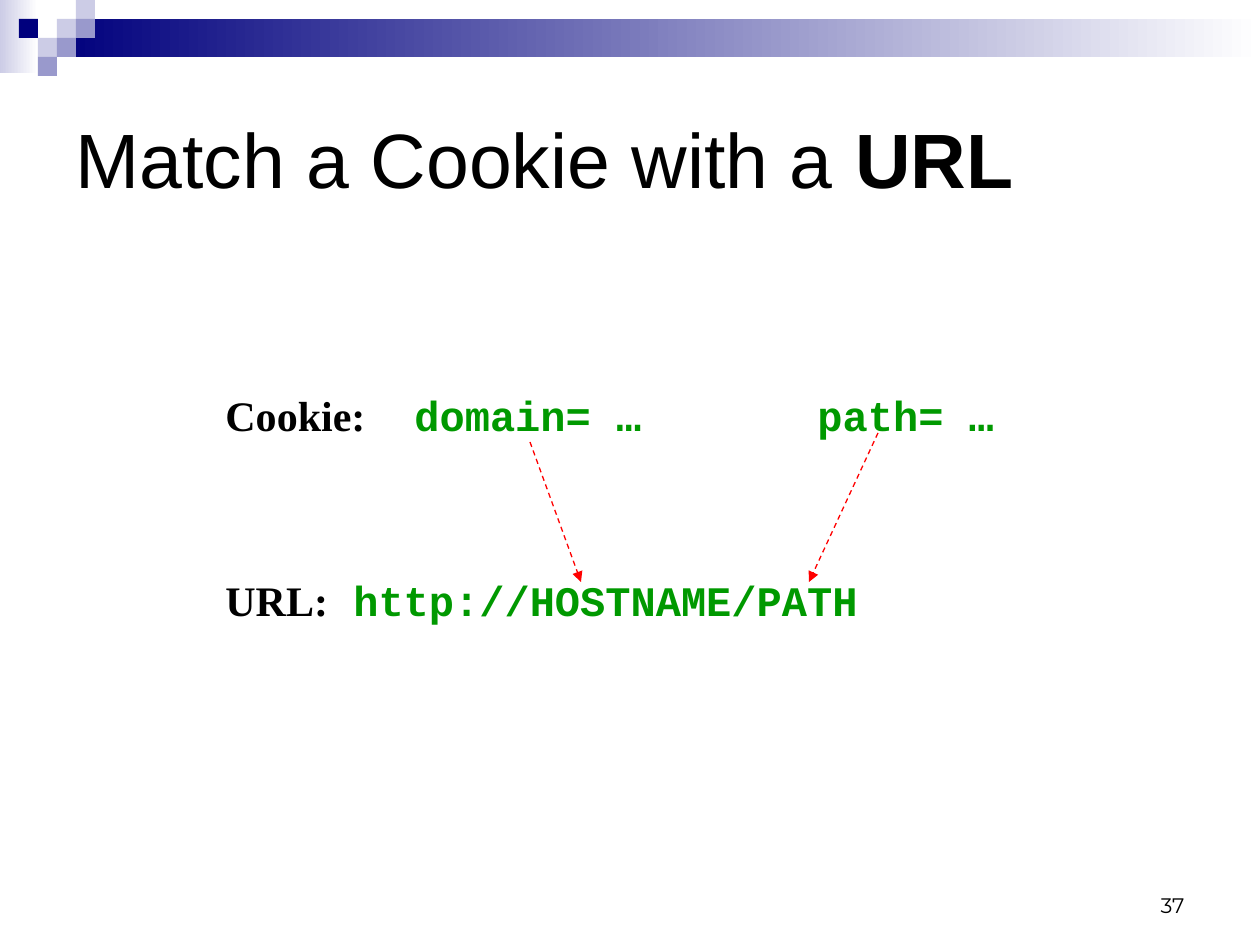
from lxml import etree
from pptx import Presentation
from pptx.dml.color import RGBColor
from pptx.enum.dml import MSO_LINE
from pptx.enum.shapes import MSO_CONNECTOR, MSO_SHAPE
from pptx.enum.text import MSO_ANCHOR, PP_ALIGN
from pptx.oxml.ns import qn
from pptx.util import Emu, Pt

RECTANGLE = MSO_SHAPE.RECTANGLE
STRAIGHT = MSO_CONNECTOR.STRAIGHT
DASH = MSO_LINE.DASH
MIDDLE, BOTTOM = MSO_ANCHOR.MIDDLE, MSO_ANCHOR.BOTTOM
LEFT, RIGHT = PP_ALIGN.LEFT, PP_ALIGN.RIGHT

COLORS = {"navy": "00007D", "pale": "CCCCE6", "lilac": "9999CC", "white": "FFFFFF",
          "black": "000000", "code": "009900", "arrow": "FF0000"}
PX_PER_INCH = 126
CELL = 19


def px(length):
    return Emu(round(length * 914400 / PX_PER_INCH))


def color(name):
    return RGBColor.from_string(COLORS[name])


def add_block(page, box, *names):
    """Draw a borderless rectangle, solid for one colour, graded for two."""
    block = page.shapes.add_shape(RECTANGLE, *map(px, box))
    block.shadow.inherit = False
    block.line.fill.background()
    if len(names) == 1:
        block.fill.solid()
        block.fill.fore_color.rgb = color(names[0])
        return
    block.fill.gradient()
    block.fill.gradient_angle = 0
    for stop, name in zip(block.fill.gradient_stops, names):
        stop.color.rgb = color(name)


def add_banner(page, box):
    left, top, width, height = box
    add_block(page, (left, top, 2 * CELL, height), "pale", "white")
    add_block(page, (left + 3 * CELL, top + CELL, width - 3 * CELL, 2 * CELL), "navy", "white")
    # Checkered squares as column, row, colour
    squares = [(3, 1, "pale"), (4, 0, "pale"), (4, 1, "lilac"), (2, 2, "pale"),
               (1, 1, "navy"), (3, 2, "lilac"), (2, 3, "lilac")]
    for column, row, name in squares:
        add_block(page, (left + column * CELL, top + row * CELL, CELL, CELL), name)


def style_font(font, family, name):
    font.name = family
    font.color.rgb = color(name)


def add_title(page, box, plain, strong):
    title = page.shapes.title
    title.left, title.top, title.width, title.height = map(px, box)
    title.text_frame.vertical_anchor = MIDDLE
    para = title.text_frame.paragraphs[0]
    para.alignment = LEFT
    para.font.size = Pt(44)
    style_font(para.font, "Arial", "black")
    para.add_run().text = plain
    span = para.add_run()
    span.text = strong
    span.font.bold = True


def add_text_box(page, box):
    frame = page.shapes.add_textbox(*map(px, box)).text_frame
    frame.word_wrap = True
    return frame


def add_code_line(page, box, label, code, tabs=()):
    """Write a label and its code; tabs are px from the text's left edge."""
    para = add_text_box(page, box).paragraphs[0]
    if tabs:
        stops = etree.SubElement(para._p.get_or_add_pPr(), qn("a:tabLst"))
        for position in tabs:
            etree.SubElement(stops, qn("a:tab"), pos=str(px(position)), algn="l")
    para.space_before = Pt(15)
    para.font.size = Pt(24)
    para.font.bold = True
    for text, family, name in ((label, "Times New Roman", "black"),
                               (code, "Courier New", "code")):
        span = para.add_run()
        span.text = text
        style_font(span.font, family, name)


def add_arrow(page, start, end):
    arrow = page.shapes.add_connector(STRAIGHT, *map(px, start + end))
    arrow.line.color.rgb = color("arrow")
    arrow.line.width = Pt(0.75)
    arrow.line.dash_style = DASH
    etree.SubElement(arrow.line._get_or_add_ln(), qn("a:tailEnd"), type="triangle")
    etree.SubElement(arrow._element.spPr, qn("a:effectLst"))


def add_matching(page, box):
    left, top, width, height = box
    # Cookie attributes above the URL parts they match
    add_code_line(page, (left, top, width, 63), "Cookie:",
                  "\tdomain= …\tpath= …", tabs=(189, 592))
    add_code_line(page, (left, top + height - 63, width, 63), "URL:", " http://HOSTNAME/PATH")
    arrow_end = top + 199
    add_arrow(page, (left + 317, top + 59), (left + 368, arrow_end))
    add_arrow(page, (left + 665, top + 50), (left + 596, arrow_end))


def add_page_number(page, box, number):
    frame = add_text_box(page, box)
    frame.vertical_anchor = BOTTOM
    para = frame.paragraphs[0]
    para.alignment = RIGHT
    para.font.size = Pt(12)
    style_font(para.font, "Montserrat", "black")
    para.add_run().text = number


def main():
    deck = Presentation()
    deck.slide_width, deck.slide_height = px(1260), px(945)
    page = deck.slides.add_slide(deck.slide_layouts[5])
    add_banner(page, (0, 0, 1260, 73))
    add_page_number(page, (903, 861, 294, 63), "37")
    add_title(page, (63, 63, 1134, 189), "Match a Cookie with a ", "URL")
    add_matching(page, (213, 383, 1000, 248))
    deck.save("out.pptx")


if __name__ == "__main__":
    main()
